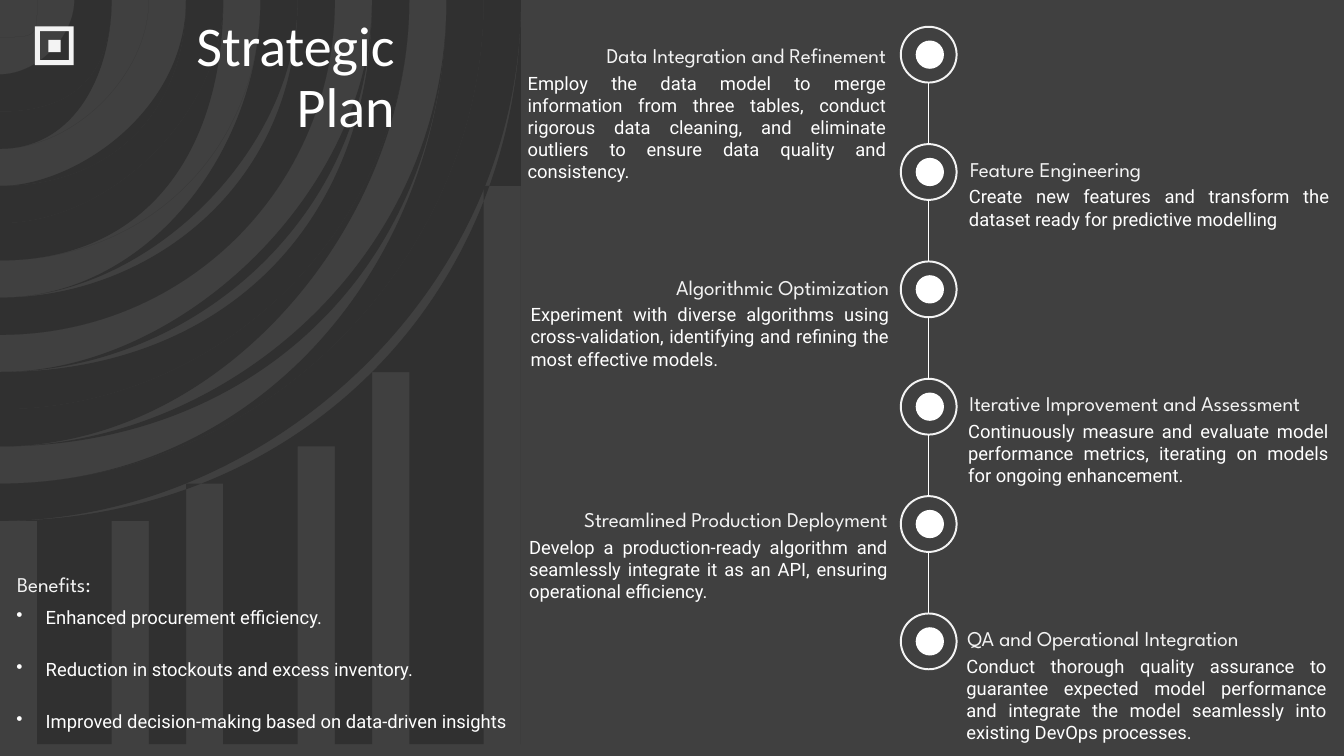
from dataclasses import dataclass
from math import acos, cos, sin, sqrt

from pptx import Presentation
from pptx.dml.color import RGBColor
from pptx.enum.shapes import MSO_CONNECTOR, MSO_SHAPE
from pptx.enum.text import MSO_ANCHOR, MSO_AUTO_SIZE, PP_ALIGN
from pptx.oxml.ns import qn
from pptx.util import Cm, Pt

BACKGROUND, PATTERN, PALE, WHITE = "404040", "303030", "F3F3F3", "FFFFFF"
SLIDE_WIDTH, SLIDE_HEIGHT = 36.12, 20.32
INSET = 0.36

# Curved pattern
RING_COUNT, FIRST_RADIUS, RING_STEP = 19, 1.32, 13 / 18
BAND, STRETCH, CURVE = 0.41, 0.13, 0.55
STRIPE_COUNT, STRIPE_STEP, PANEL_EDGE = 20, 0.715, 13.94

# Timeline
NODE_X, FIRST_NODE_Y, NODE_STEP = 24.96, 1.47, 3.154
NODE_SIZE, DOT_SIZE = 1.5, 0.76

Points = list[tuple[float, float]]


@dataclass
class Step:
    heading: str
    body: str
    on_left: bool
    edge: float  # side of the text that faces the timeline
    top: float
    heading_width: float


@dataclass
class TextStyle:
    font: str
    size: float
    color: str
    align: PP_ALIGN


STEPS = [
    Step("Data Integration and Refinement",
         "Employ the data model to merge information from three tables, conduct rigorous "
         "data cleaning, and eliminate outliers to ensure data quality and consistency.",
         True, 24.18, 0.79, 9.6),
    Step("Feature Engineering",
         "Create new features and transform the dataset ready for predictive modelling",
         False, 25.71, 3.84, 7.98),
    Step("Algorithmic Optimization",
         "Experiment with diverse algorithms using cross-validation, identifying and "
         "refining the most effective models.",
         True, 24.26, 7.01, 9.6),
    Step("Iterative Improvement and Assessment",
         "Continuously measure and evaluate model performance metrics, iterating on "
         "models for ongoing enhancement.",
         False, 25.69, 10.14, 10.43),
    Step("Streamlined Production Deployment",
         "Develop a production-ready algorithm and seamlessly integrate it as an API, "
         "ensuring operational efficiency.",
         True, 24.22, 13.26, 10.34),
    Step("QA and Operational Integration",
         "Conduct thorough quality assurance to guarantee expected model performance and "
         "integrate the model seamlessly into existing DevOps processes.",
         False, 25.64, 16.46, 10.36),
]
BENEFITS = [
    "Enhanced procurement efficiency.",
    "Reduction in stockouts and excess inventory.",
    "Improved decision-making based on data-driven insights",
]
HEADING_LEFT = TextStyle("League Spartan", 16, PALE, PP_ALIGN.LEFT)
HEADING_RIGHT = TextStyle("League Spartan", 16, PALE, PP_ALIGN.RIGHT)
BODY = TextStyle("Roboto", 14, WHITE, PP_ALIGN.JUSTIFY)
TITLE = TextStyle("Calibri", 42.7, WHITE, PP_ALIGN.RIGHT)


def rgb(color: str) -> RGBColor:
    return RGBColor.from_string(color)


def fill_shape(shape, color: str) -> None:
    shape.shadow.inherit = False
    shape.fill.solid()
    shape.fill.fore_color.rgb = rgb(color)
    shape.line.fill.background()


def add_filled(slide, kind: MSO_SHAPE, left: float, top: float, size: float, color: str):
    shape = slide.shapes.add_shape(kind, Cm(left), Cm(top), Cm(size), Cm(size))
    fill_shape(shape, color)
    return shape


def format_text(shape, style: TextStyle, space_after: float = 0) -> None:
    frame = shape.text_frame
    frame.word_wrap = True
    frame.auto_size = MSO_AUTO_SIZE.NONE
    frame.vertical_anchor = MSO_ANCHOR.TOP
    frame.margin_left = frame.margin_right = Cm(INSET)
    frame.margin_top = frame.margin_bottom = Cm(INSET)
    for paragraph in frame.paragraphs:
        paragraph.alignment = style.align
        paragraph.space_after = Pt(space_after)
        for run in paragraph.runs:
            run.font.name = style.font
            run.font.size = Pt(style.size)
            run.font.color.rgb = rgb(style.color)


def add_text(slide, text: str, left: float, top: float, width: float, height: float,
             style: TextStyle):
    shape = slide.shapes.add_textbox(Cm(left), Cm(top), Cm(width), Cm(height))
    shape.text_frame.text = text
    format_text(shape, style, space_after=22.8)
    return shape


def add_bullet(paragraph) -> None:
    properties = paragraph._p.get_or_add_pPr()
    properties.set("marL", str(Cm(0.79)))
    properties.set("indent", str(-Cm(0.79)))
    properties.append(properties.makeelement(qn("a:buChar"), {"char": "•"}))


def quarter_arc(radius: float) -> Points:
    """Start, two control points and end of a quarter arc around the slide's corner."""
    height = radius + STRETCH
    return [(radius, 0), (radius, CURVE * height), (CURVE * radius, height), (0, height)]


def add_outline(slide, points: Points, curve_starts: list[int]) -> None:
    """Draw a closed outline with a curve after each listed point, lines elsewhere."""
    builder = slide.shapes.build_freeform(*points[0], scale=Cm(1))
    builder.add_line_segments(points[1:], close=True)
    shape = builder.convert_to_shape()
    fill_shape(shape, PATTERN)
    segments = list(shape._element.iter(qn("a:lnTo")))
    for start in curve_starts:
        first, *others = segments[start:start + 3]
        curve = first.makeelement(qn("a:cubicBezTo"), {})
        first.addprevious(curve)
        for segment in (first, *others):
            curve.append(segment[0])
            segment.getparent().remove(segment)


def add_pattern(slide) -> None:
    radii = [FIRST_RADIUS + RING_STEP * index for index in range(RING_COUNT)]
    for radius in radii[:-1]:
        add_outline(slide, quarter_arc(radius) + quarter_arc(radius - BAND)[::-1], [0, 4])

    # The outermost ring carries the stripes that run down to the slide's foot
    outer = radii[-1]
    height = outer + STRETCH
    points = quarter_arc(outer - BAND)
    for index in range(STRIPE_COUNT):
        left = STRIPE_STEP * index
        right = min(left + BAND, PANEL_EDGE)
        ring_left, ring_right = [height * sqrt(1 - (x / outer) ** 2) for x in (left, right)]
        points += [(left, ring_left), (left, SLIDE_HEIGHT),
                   (right, SLIDE_HEIGHT), (right, ring_right)]
    edge_angle = acos(PANEL_EDGE / outer)
    points += [(outer * cos(edge_angle * part), height * sin(edge_angle * part))
               for part in (0.67, 0.33, 0)]
    add_outline(slide, points, [0])


def add_node(slide, center_y: float) -> None:
    radius = NODE_SIZE / 2
    ring = slide.shapes.add_shape(MSO_SHAPE.OVAL, Cm(NODE_X - radius), Cm(center_y - radius),
                                  Cm(NODE_SIZE), Cm(NODE_SIZE))
    ring.shadow.inherit = False
    ring.fill.background()
    ring.line.color.rgb = rgb(PALE)
    ring.line.width = Pt(1.5)
    add_filled(slide, MSO_SHAPE.OVAL, NODE_X + 0.03 - DOT_SIZE / 2,
               center_y - DOT_SIZE / 2, DOT_SIZE, WHITE)


def add_link(slide, top: float, bottom: float) -> None:
    link = slide.shapes.add_connector(MSO_CONNECTOR.STRAIGHT, Cm(NODE_X - 0.02), Cm(top),
                                      Cm(NODE_X - 0.02), Cm(bottom))
    link.line.color.rgb = rgb(WHITE)
    link.line.width = Pt(0.5)
    properties = link._element.spPr
    properties.append(properties.makeelement(qn("a:effectLst"), {}))


def add_step(slide, step: Step) -> None:
    body_top = step.top + 0.79
    if step.on_left:
        add_text(slide, step.heading, step.edge - step.heading_width, step.top,
                 step.heading_width, 1.32, HEADING_RIGHT)
        add_text(slide, step.body, step.edge - 10.36, body_top, 10.36, 3.07, BODY)
    else:
        add_text(slide, step.heading, step.edge, step.top, step.heading_width, 1.32,
                 HEADING_LEFT)
        add_text(slide, step.body, step.edge - 0.03, body_top, 10.41, 1.5, BODY)


def main() -> None:
    presentation = Presentation()
    presentation.slide_width, presentation.slide_height = Cm(SLIDE_WIDTH), Cm(SLIDE_HEIGHT)
    slide = presentation.slides.add_slide(presentation.slide_layouts[5])
    slide.background.fill.solid()
    slide.background.fill.fore_color.rgb = rgb(BACKGROUND)
    add_pattern(slide)

    # Title, brought in front of the pattern
    title = slide.shapes.title
    title.left, title.top, title.width, title.height = Cm(1.98), Cm(0.13), Cm(8.99), Cm(2.24)
    title.text_frame.text = "Strategic Plan"
    format_text(title, TITLE)
    title.text_frame.margin_left = Cm(0.6)
    title.text_frame.paragraphs[0].line_spacing = 0.9
    title.element.getparent().append(title.element)

    # Square emblem
    add_filled(slide, MSO_SHAPE.FRAME, 0.94, 0.71, 1.04, PALE).adjustments[0] = 0.125
    add_filled(slide, MSO_SHAPE.RECTANGLE, 1.3, 1.07, 0.33, PALE)

    # Timeline
    for index, step in enumerate(STEPS):
        center_y = FIRST_NODE_Y + NODE_STEP * index
        add_node(slide, center_y)
        if index:
            add_link(slide, center_y - NODE_STEP + NODE_SIZE / 2, center_y - NODE_SIZE / 2)
        add_step(slide, step)

    # Benefits
    add_text(slide, "Benefits:", 0.1, 15.01, 7.98, 1.32, HEADING_LEFT)
    benefits = add_text(slide, "\n".join(BENEFITS), 0.08, 15.93, 13.97, 4.11, BODY)
    for paragraph in benefits.text_frame.paragraphs:
        add_bullet(paragraph)

    presentation.save("out.pptx")


if __name__ == "__main__":
    main()
